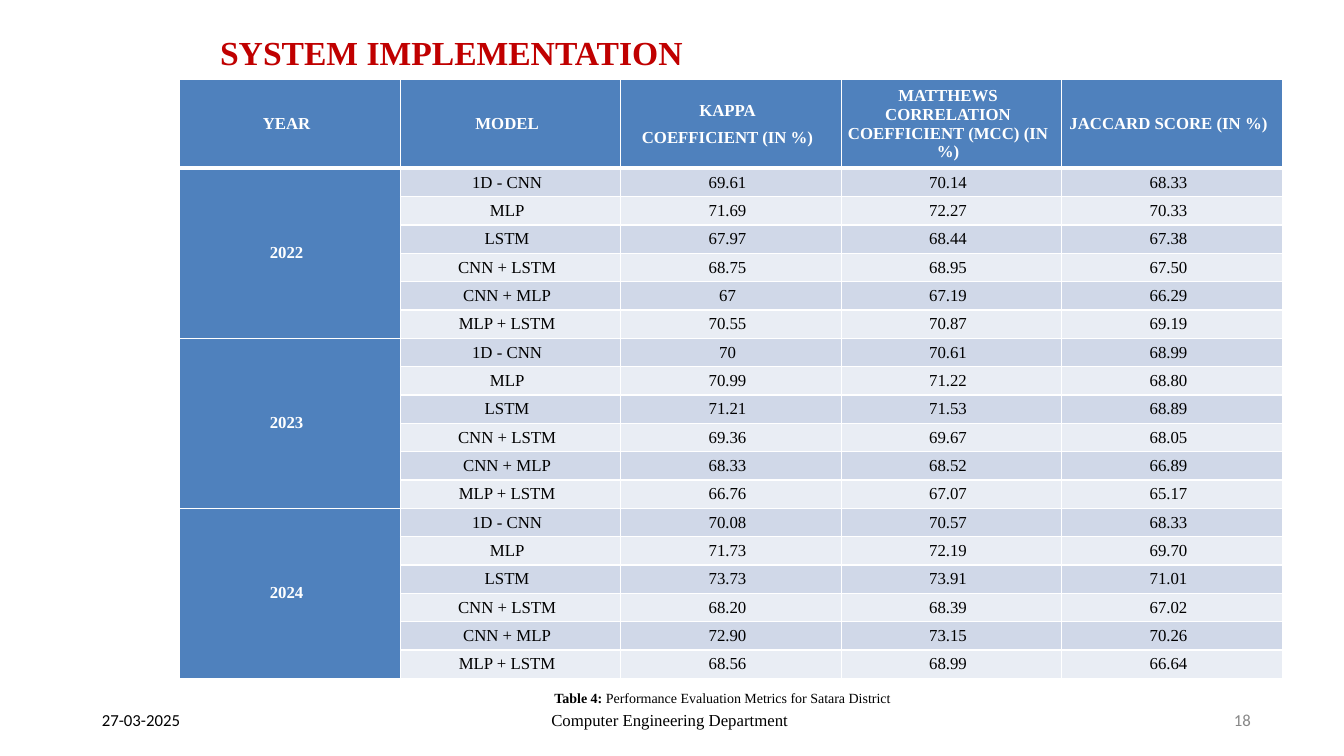
from dataclasses import dataclass

from lxml import etree
from pptx import Presentation
from pptx.dml.color import RGBColor
from pptx.enum.text import MSO_ANCHOR, MSO_AUTO_SIZE, PP_ALIGN
from pptx.oxml.ns import qn
from pptx.util import Pt

LEFT, CENTER = PP_ALIGN.LEFT, PP_ALIGN.CENTER
TOP, MIDDLE = MSO_ANCHOR.TOP, MSO_ANCHOR.MIDDLE
FIT_SHAPE = MSO_AUTO_SIZE.SHAPE_TO_FIT_TEXT
SERIF, SANS = "Times New Roman", "Calibri"
WHITE, BLACK, GREY, RED = "FFFFFF", "000000", "888888", "C00000"
BLUE, BAND_DARK, BAND_LIGHT = "4F81BD", "D0D8E8", "E9EDF4"

COLUMN_WIDTH, HEADER_HEIGHT, ROW_HEIGHT = 157.5, 63.2, 20.25
CELL_INSET, CELL_RIGHT_INSET = 2.8, 7.8
HEADERS = [
    "YEAR",
    "MODEL",
    "KAPPA\nCOEFFICIENT (IN %)",
    "MATTHEWS CORRELATION COEFFICIENT (MCC) (IN %)",
    "JACCARD SCORE (IN %)",
]
MODELS = ["1D - CNN", "MLP", "LSTM", "CNN + LSTM", "CNN + MLP", "MLP + LSTM"]
# Kappa, MCC and Jaccard score for each model, in the order of MODELS
SCORES = {
    "2022": ["69.61 70.14 68.33", "71.69 72.27 70.33", "67.97 68.44 67.38",
             "68.75 68.95 67.50", "67 67.19 66.29", "70.55 70.87 69.19"],
    "2023": ["70 70.61 68.99", "70.99 71.22 68.80", "71.21 71.53 68.89",
             "69.36 69.67 68.05", "68.33 68.52 66.89", "66.76 67.07 65.17"],
    "2024": ["70.08 70.57 68.33", "71.73 72.19 69.70", "73.73 73.91 71.01",
             "68.20 68.39 67.02", "72.90 73.15 70.26", "68.56 68.99 66.64"],
}


@dataclass
class FooterItem:
    text: str
    left: float
    width: float
    font: str
    color: str


FOOTER = [
    FooterItem("Computer Engineering Department", 393.8, 173.5, SERIF, BLACK),
    FooterItem("27-03-2025", 72.7, 60, SANS, BLACK),
    FooterItem("18", 881.3, 19, SANS, GREY),
]


def rgb(value: str) -> RGBColor:
    return RGBColor.from_string(value)


def style_font(paragraph, name: str, size: float, color: str, bold: bool = False) -> None:
    font = paragraph.font
    font.name, font.size, font.bold = name, Pt(size), bold
    font.color.rgb = rgb(color)


def add_title(page) -> None:
    title = page.shapes.title
    title.left, title.top, title.width, title.height = Pt(150), Pt(19.5), Pt(546), Pt(36)
    frame = title.text_frame
    frame.text = "SYSTEM IMPLEMENTATION"
    frame.vertical_anchor = TOP
    frame.auto_size = FIT_SHAPE
    frame.paragraphs[0].alignment = LEFT
    style_font(frame.paragraphs[0], SERIF, 24, RED, True)


def add_text_frame(page, left: float, top: float, width: float, height: float):
    box = page.shapes.add_textbox(Pt(left), Pt(top), Pt(width), Pt(height))
    box.text_frame.word_wrap = True
    box.text_frame.auto_size = FIT_SHAPE
    return box.text_frame


def add_caption(page) -> None:
    paragraph = add_text_frame(page, 129, 483, 774, 23).paragraphs[0]
    paragraph.alignment, paragraph.line_spacing = CENTER, 1.5
    style_font(paragraph, SERIF, 10, BLACK)
    label = paragraph.add_run()
    label.text, label.font.bold = "Table 4: ", True
    paragraph.add_run().text = "Performance Evaluation Metrics for Satara District"


def add_footer_item(page, item: FooterItem) -> None:
    frame = add_text_frame(page, item.left, 509, item.width, 12.4)
    frame.margin_left = frame.margin_top = frame.margin_right = frame.margin_bottom = 0
    paragraph = frame.paragraphs[0]
    paragraph.text, paragraph.line_spacing = item.text, Pt(12.4)
    style_font(paragraph, item.font, 12, item.color)


def add_borders(cell, bottom: float) -> None:
    """Draw white cell borders; call before filling, as the schema wants lines first."""
    properties = cell._tc.get_or_add_tcPr()
    for side, width in (("L", 1), ("R", 1), ("T", 1), ("B", bottom)):
        line = etree.SubElement(properties, qn(f"a:ln{side}"), w=str(Pt(width)))
        fill = etree.SubElement(line, qn("a:solidFill"))
        etree.SubElement(fill, qn("a:srgbClr"), val=WHITE)


def fill_cell(cell, text: str, fill: str, color: str = BLACK,
              bold: bool = False, bottom: float = 1) -> None:
    add_borders(cell, bottom)
    cell.fill.solid()
    cell.fill.fore_color.rgb = rgb(fill)
    cell.vertical_anchor = MIDDLE
    cell.margin_left, cell.margin_right = Pt(CELL_INSET), Pt(CELL_RIGHT_INSET)
    cell.margin_top = cell.margin_bottom = Pt(CELL_INSET)
    cell.text_frame.text = text
    for paragraph in cell.text_frame.paragraphs:
        paragraph.alignment, paragraph.space_after = CENTER, Pt(6)
        style_font(paragraph, SERIF, 12, color, bold)


def add_score_table(page) -> None:
    group = len(MODELS)
    row_count = 1 + group * len(SCORES)
    table = page.shapes.add_table(
        row_count, len(HEADERS), Pt(128.5), Pt(57), Pt(COLUMN_WIDTH * len(HEADERS)),
        Pt(HEADER_HEIGHT + ROW_HEIGHT * (row_count - 1))).table
    for column in table.columns:
        column.width = Pt(COLUMN_WIDTH)
    for index, row in enumerate(table.rows):
        row.height = Pt(ROW_HEIGHT if index else HEADER_HEIGHT)

    for column, header in enumerate(HEADERS):
        fill_cell(table.cell(0, column), header, BLUE, WHITE, True, bottom=3)
    for block, (year, scores) in enumerate(SCORES.items()):
        first = 1 + block * group
        for offset, (model, values) in enumerate(zip(MODELS, scores)):
            row = first + offset
            fill_cell(table.cell(row, 0), "" if offset else year, BLUE, WHITE, True)
            band = BAND_LIGHT if offset % 2 else BAND_DARK
            for column, text in enumerate([model, *values.split()], start=1):
                fill_cell(table.cell(row, column), text, band)
        table.cell(first, 0).merge(table.cell(first + group - 1, 0))


def main() -> None:
    deck = Presentation()
    deck.slide_width, deck.slide_height = Pt(960), Pt(540)
    page = deck.slides.add_slide(deck.slide_layouts[5])
    add_title(page)
    for item in FOOTER:
        add_footer_item(page, item)
    add_caption(page)
    add_score_table(page)
    deck.save("out.pptx")


if __name__ == "__main__":
    main()
